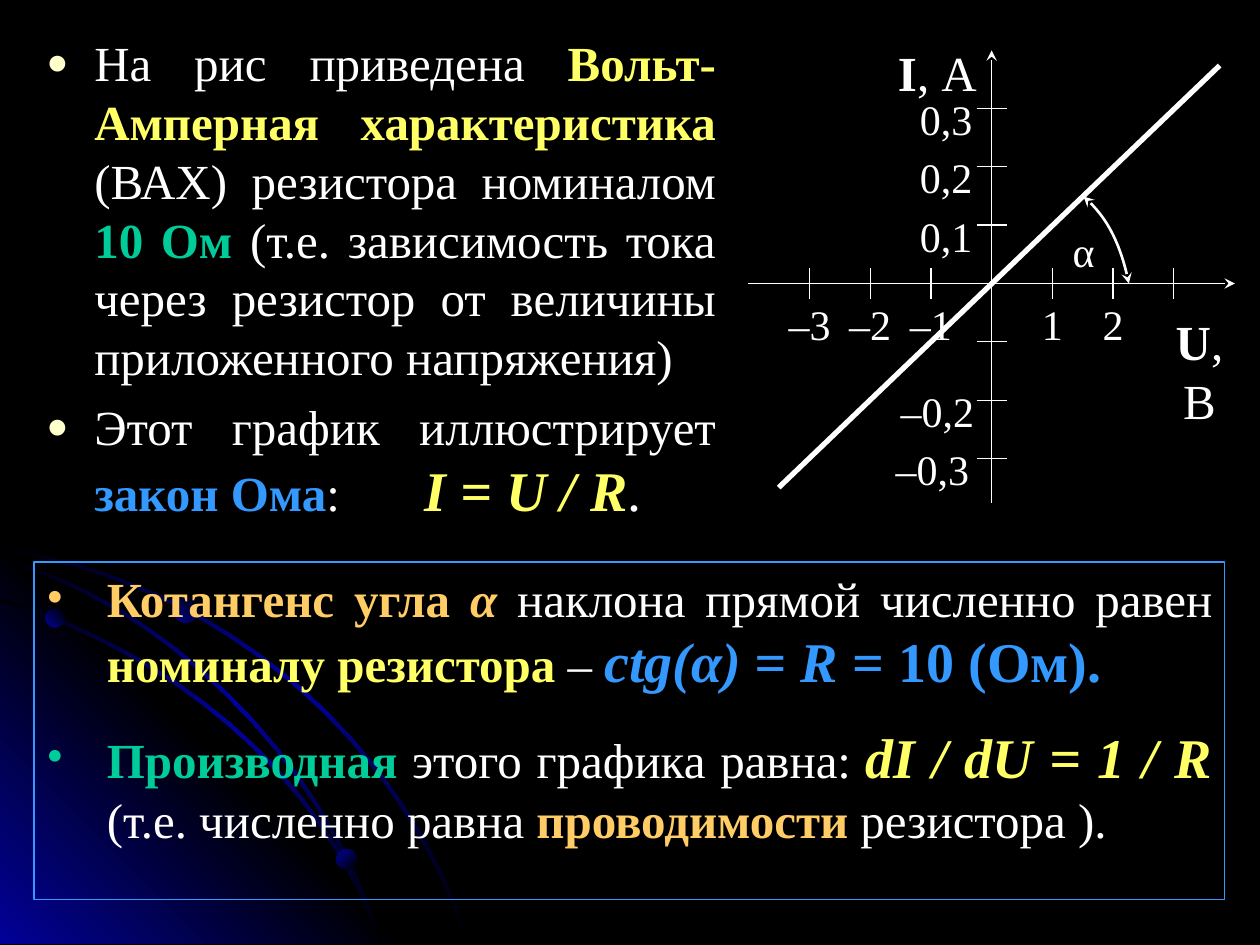
"""Builds a slide on the volt-ampere characteristic of a resistor."""
from dataclasses import dataclass
from typing import NamedTuple, Optional

from lxml.etree import SubElement
from pptx import Presentation
from pptx.dml.color import RGBColor
from pptx.enum.shapes import MSO_CONNECTOR, MSO_SHAPE
from pptx.enum.text import MSO_ANCHOR, PP_ALIGN
from pptx.oxml.ns import qn
from pptx.util import Inches, Pt

FONT = "Times New Roman"
COLORS = {
    "black": "000000", "white": "FFFFFF", "navy": "010199", "yellow": "FFFF66",
    "green": "00CC99", "blue": "3399FF", "orange": "FFCC66", "cream": "FFFFCC",
}


class Point(NamedTuple):
    x: float
    y: float


@dataclass
class Run:
    text: str
    color: str = "white"
    bold: bool = False
    italic: bool = False
    size: int = 28


@dataclass
class Bullet:
    char: str
    color: str
    size: int
    indent: float
    before: int
    tab: Optional[float] = None


@dataclass
class Curve:
    start: Point
    pull_start: Point
    pull_end: Point
    end: Point

    def points(self, steps: int = 16) -> list[Point]:
        anchors = (self.start, self.pull_start, self.pull_end, self.end)
        curve = []
        for step in range(steps + 1):
            t = step / steps
            weights = ((1 - t) ** 3, 3 * (1 - t) ** 2 * t, 3 * (1 - t) * t ** 2, t ** 3)
            curve.append(Point(sum(w * a.x for w, a in zip(weights, anchors)),
                               sum(w * a.y for w, a in zip(weights, anchors))))
        return curve


@dataclass
class Bead:
    left: float
    top: float
    size: float
    angle: int


SWIRLS = [
    Curve(Point(0, 4.36), Point(1.75, 4.6), Point(3.22, 5.9), Point(3.71, 7.48)),
    Curve(Point(0, 4.76), Point(1.3, 5.15), Point(2.55, 6.1), Point(3.02, 7.48)),
    Curve(Point(0, 4.43), Point(1.25, 4.78), Point(2.55, 5.95), Point(3.02, 7.48)),
]
CORNER = [Point(3.22, 7.49), Point(0, 7.49), Point(0, 4.27)]
BEADS = [Bead(0.36, 4.83, 0.15, 315), Bead(2.67, 6.74, 0.16, 45), Bead(1.37, 4.73, 0.21, 315)]
ANGLE_ARC = Curve(Point(8.6, 1.56), Point(8.8, 1.73), Point(8.9, 1.96), Point(8.96, 2.25))

INTRO = [
    (Bullet("●", "cream", 75, 0.38, 20), [
        Run("На рис приведена "), Run("Вольт-Амперная характеристика", "yellow", True),
        Run(" (ВАХ) резистора номиналом "), Run("10 Ом", "green", True),
        Run(" (т.е. зависимость тока через резистор от величины приложенного напряжения)")]),
    (Bullet("●", "cream", 75, 0.38, 20, 3.0), [
        Run("Этот график иллюстрирует "), Run("закон Ома", "blue", True), Run(":"),
        Run("\t", size=32), Run("I = U / R", "yellow", True, True, 32), Run(".", size=32)]),
]
CONCLUSIONS = [
    (Bullet("•", "orange", 100, 0.48, 50), [
        Run("Котангенс угла ", "orange", True), Run("α", "orange", True, True),
        Run(" наклона прямой численно равен "), Run("номиналу резистора", "yellow", True),
        Run(" – "), Run("ctg(α) = R", "blue", True, True, 32),
        Run(" = 10 (Ом).", "blue", True, size=32)]),
    (Bullet("•", "green", 100, 0.48, 50), [
        Run("Производная", "green", True), Run(" этого графика равна: "),
        Run("dI / dU = 1 / R", "yellow", True, True, 32), Run("\n"),
        Run("(т.е. численно равна "), Run("проводимости", "orange", True),
        Run(" резистора ).")]),
]


def rgb(color: str) -> RGBColor:
    return RGBColor.from_string(COLORS[color])


def add_runs(paragraph, runs: list[Run]) -> None:
    for run in runs:
        if run.text == "\n":
            paragraph.add_line_break()
            continue
        part = paragraph.add_run()
        part.text = run.text
        font = part.font
        font.name, font.size = FONT, Pt(run.size)
        font.bold, font.italic = run.bold, run.italic
        font.color.rgb = rgb(run.color)


def set_bullet(paragraph, bullet: Bullet) -> None:
    props = paragraph._p.get_or_add_pPr()
    props.set("marL", str(Inches(bullet.indent)))
    props.set("indent", str(-Inches(bullet.indent)))
    before = SubElement(props, qn("a:spcBef"))
    SubElement(before, qn("a:spcPct"), val=str(bullet.before * 1000))
    tint = SubElement(props, qn("a:buClr"))
    SubElement(tint, qn("a:srgbClr"), val=COLORS[bullet.color])
    SubElement(props, qn("a:buSzPct"), val=str(bullet.size * 1000))
    SubElement(props, qn("a:buFont"), typeface=FONT)
    SubElement(props, qn("a:buChar"), char=bullet.char)
    if bullet.tab:
        tabs = SubElement(props, qn("a:tabLst"))
        SubElement(tabs, qn("a:tab"), pos=str(Inches(bullet.tab)), algn="l")


def fill_list(frame, items: list[tuple[Bullet, list[Run]]]) -> None:
    frame.word_wrap = True
    frame.vertical_anchor = MSO_ANCHOR.TOP
    for index, (bullet, runs) in enumerate(items):
        paragraph = frame.add_paragraph() if index else frame.paragraphs[0]
        paragraph.alignment = PP_ALIGN.JUSTIFY
        set_bullet(paragraph, bullet)
        add_runs(paragraph, runs)


def add_label(shapes, center_x: float, top: float, runs: list[Run]) -> None:
    width, height = 0.7, 0.35
    box = shapes.add_textbox(*map(Inches, (center_x - width / 2, top, width, height)))
    frame = box.text_frame
    frame.word_wrap = False
    frame.margin_left = frame.margin_right = frame.margin_top = frame.margin_bottom = 0
    frame.paragraphs[0].alignment = PP_ALIGN.CENTER
    add_runs(frame.paragraphs[0], runs)


def set_line(shape, width: float, ends: tuple = ()) -> None:
    shape.line.color.rgb = rgb("white")
    shape.line.width = Pt(width)
    for end in ends:
        SubElement(shape._element.spPr.find(qn("a:ln")), qn(f"a:{end}"), type="stealth")


def add_line(shapes, start: Point, end: Point, width: float = 0.75, ends: tuple = ()) -> None:
    line = shapes.add_connector(MSO_CONNECTOR.STRAIGHT, *map(Inches, start + end))
    set_line(line, width, ends)
    SubElement(line._element.spPr, qn("a:effectLst"))


def add_outline(shapes, points: list[Point], close: bool):
    first, *rest = [(Inches(point.x), Inches(point.y)) for point in points]
    builder = shapes.build_freeform(*first)
    builder.add_line_segments(rest, close=close)
    outline = builder.convert_to_shape()
    outline.shadow.inherit = False
    return outline


def set_gradient(shape, colors: tuple, angle: int) -> None:
    shape.line.fill.background()
    shape.fill.gradient()
    gradient = shape._element.spPr.find(qn("a:gradFill"))
    stops = gradient.find(qn("a:gsLst"))
    stops.clear()
    for index, color in enumerate(colors):
        stop = SubElement(stops, qn("a:gs"), pos=str(100000 * index // (len(colors) - 1)))
        SubElement(stop, qn("a:srgbClr"), val=COLORS[color])
    gradient.find(qn("a:lin")).set("ang", str(angle * 60000))


def draw_swirl(shapes, swirl: Curve) -> None:
    half = 0.01
    center = swirl.points()
    outer = [Point(x + half, y - half) for x, y in center]
    inner = [Point(x - half, y + half) for x, y in reversed(center)]
    set_gradient(add_outline(shapes, outer + inner, True), ("black", "navy", "black"), 45)


def draw_backdrop(shapes) -> None:
    set_gradient(add_outline(shapes, CORNER, True), ("navy", "black", "navy"), 315)
    for swirl in SWIRLS:
        draw_swirl(shapes, swirl)
    for bead in BEADS:
        box = map(Inches, (bead.left, bead.top, bead.size, bead.size))
        ball = shapes.add_shape(MSO_SHAPE.OVAL, *box)
        ball.shadow.inherit = False
        set_gradient(ball, ("navy", "black"), bead.angle)


def draw_graph(shapes) -> None:
    zero, half_tick = Point(7.87, 2.25), 0.12
    step = Point((9.32 - 6.43) / 6, (3.64 - 0.86) / 6)
    current_label_x = {-3: 7.4, -2: 7.44}
    add_line(shapes, Point(zero.x, 3.99), Point(zero.x, 0.4), ends=("tailEnd",))
    add_line(shapes, Point(5.94, zero.y), Point(9.8, zero.y), ends=("tailEnd",))
    for tick in range(-3, 4):
        x, y = zero.x + tick * step.x, zero.y - tick * step.y
        sign = "–" if tick < 0 else ""
        add_line(shapes, Point(zero.x - half_tick, y), Point(zero.x + half_tick, y))
        if tick != 0:
            add_line(shapes, Point(x, zero.y - half_tick), Point(x, zero.y + half_tick))
        if tick not in (0, 3):
            add_label(shapes, x, 2.37, [Run(f"{sign}{abs(tick)}", size=24)])
        if tick not in (0, -1):
            add_label(shapes, current_label_x.get(tick, 7.51), y - half_tick,
                      [Run(f"{sign}0,{abs(tick)}", size=24)])
    add_label(shapes, 9.52, 2.47, [Run("U", bold=True), Run(", В")])
    add_label(shapes, 7.44, 0.34, [Run("I", bold=True), Run(", А")])
    add_line(shapes, Point(6.18, 3.87), Point(9.68, 0.52), 3)
    arc = add_outline(shapes, ANGLE_ARC.points(), False)
    arc.fill.background()
    set_line(arc, 1.5, ("headEnd", "tailEnd"))
    add_label(shapes, 8.6, 1.79, [Run("α", size=24)])


def draw_conclusions(shapes) -> None:
    panel = shapes.add_shape(MSO_SHAPE.RECTANGLE, *map(Inches, (0.27, 4.46, 9.45, 2.68)))
    panel.shadow.inherit = False
    panel.fill.background()
    panel.line.color.rgb = rgb("blue")
    panel.line.width = Pt(0.75)
    fill_list(panel.text_frame, CONCLUSIONS)


def main() -> None:
    deck = Presentation()
    deck.slide_width, deck.slide_height = Inches(10), Inches(7.5)
    slide = deck.slides.add_slide(deck.slide_layouts[6])
    slide.background.fill.solid()
    slide.background.fill.fore_color.rgb = rgb("black")
    draw_backdrop(slide.shapes)
    intro = slide.shapes.add_textbox(*map(Inches, (0.27, 0.21, 5.51, 4.1)))
    fill_list(intro.text_frame, INTRO)
    draw_graph(slide.shapes)
    draw_conclusions(slide.shapes)
    deck.save("out.pptx")


main()
